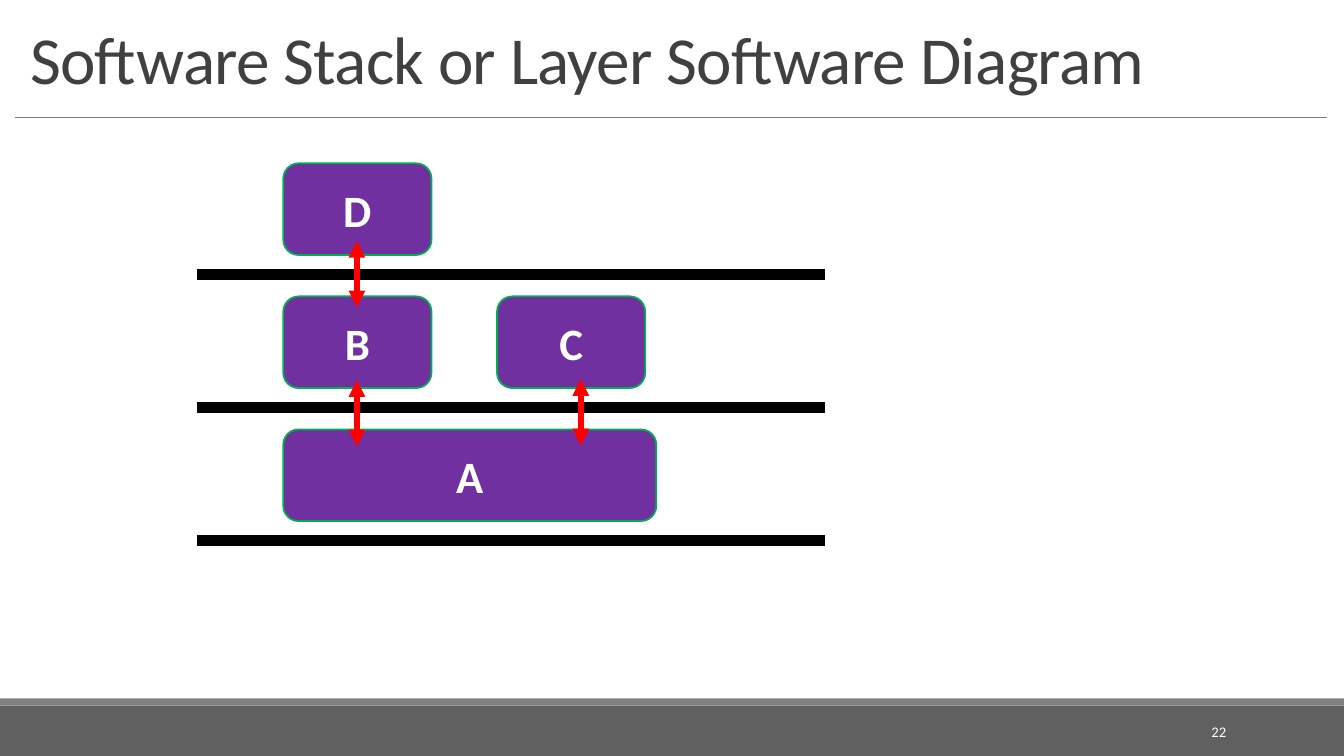
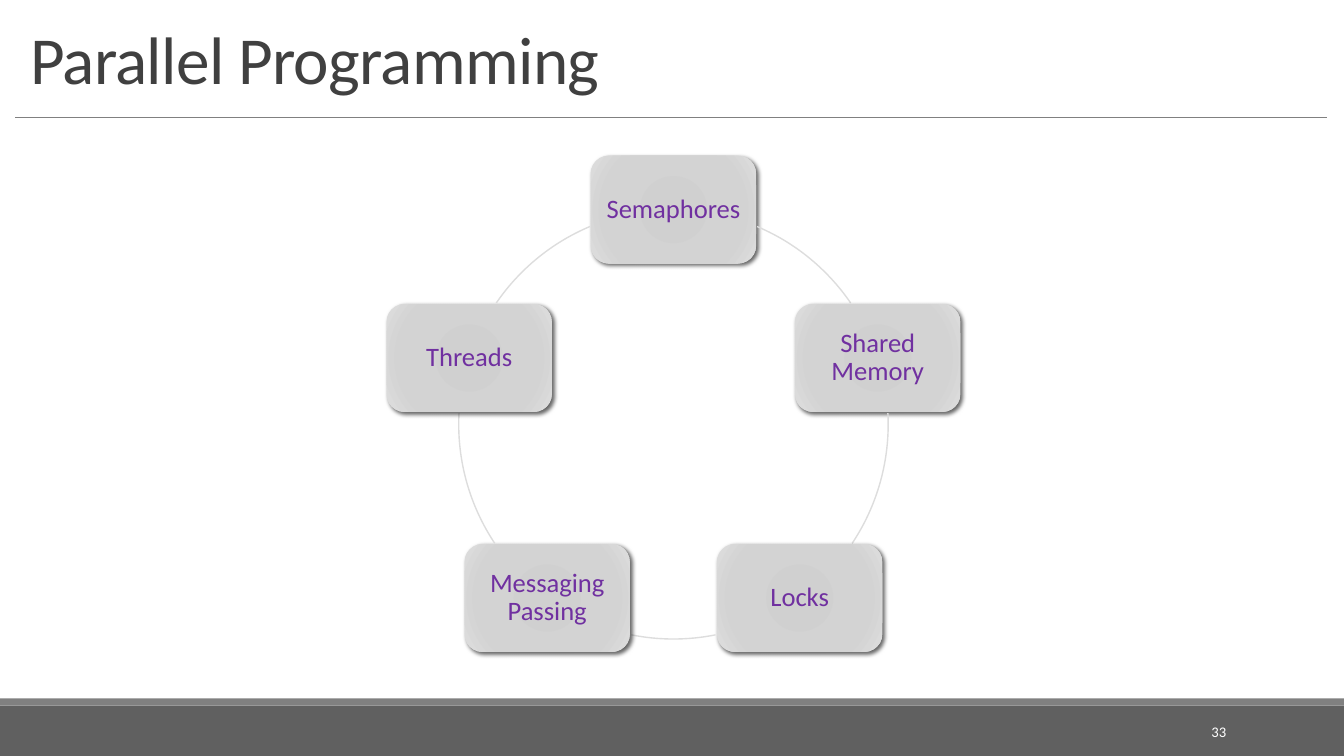
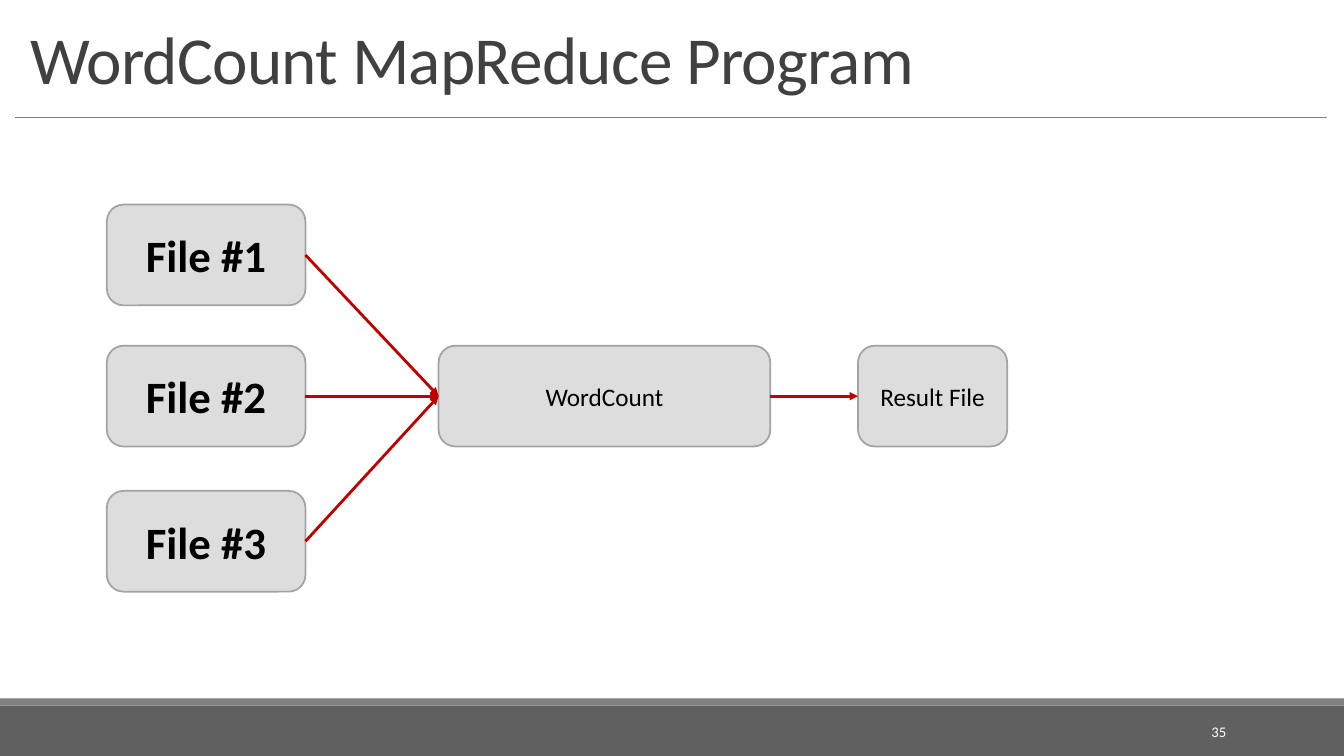
import math
from dataclasses import dataclass
from typing import Optional

from lxml import etree
from pptx import Presentation
from pptx import util as u
from pptx.dml.color import RGBColor
from pptx.enum import shapes, text
from pptx.oxml.ns import qn

COLORS = {
    "title": "404040", "footer": "606060", "rule": "808080", "white": "FFFFFF",
    "black": "000000", "purple": "7030A0", "green": "00B050", "red": "FF0000",
    "dark_red": "C00000", "silver": "DDDDDD", "edge": "A3A3A3",
}
NODE_GRADIENT = {0: "CECECE", 34: "D0D0D0", 70: "D3D3D3", 100: "DDDDDD"}
FONT = "Calibri"
SLIDE_WIDTH, SLIDE_HEIGHT = 13.33, 7.5


@dataclass(frozen=True)
class Box:
    left: float
    top: float
    width: float
    height: float


@dataclass(frozen=True)
class TextStyle:
    size: float
    color: str
    bold: bool = False
    align: text.PP_ALIGN = text.PP_ALIGN.CENTER
    anchor: text.MSO_ANCHOR = text.MSO_ANCHOR.MIDDLE
    line_spacing: Optional[float] = None
    inset: Optional[float] = None
    tracking: int = 0


@dataclass(frozen=True)
class Look:
    fill: Optional[str] = None
    line: Optional[str] = None
    width: float = 1.25


@dataclass(frozen=True)
class Stroke:
    color: str
    width: float
    head: bool = False
    tail: bool = False


TITLE = TextStyle(48, "title", align=text.PP_ALIGN.LEFT,
                  anchor=text.MSO_ANCHOR.BOTTOM, line_spacing=0.85, tracking=-50)
PAGE_NUMBER = TextStyle(10.5, "white", align=text.PP_ALIGN.RIGHT)
LAYER_TEXT = TextStyle(32, "white", bold=True)
NODE_TEXT = TextStyle(19, "purple", line_spacing=0.9, inset=0.08)
FILE_TEXT = TextStyle(32, "black", bold=True)
STEP_TEXT = TextStyle(18, "black")
LAYER_LOOK = Look("purple", "green")
FLOW_LOOK = Look("silver", "edge")


def rgb(name: str) -> RGBColor:
    return RGBColor.from_string(COLORS[name])


def apply(target, values: dict) -> None:
    for name, value in values.items():
        if value is not None:
            setattr(target, name, value)


def write(shape, words: str, style: TextStyle) -> None:
    frame = shape.text_frame
    inset = None if style.inset is None else u.Inches(style.inset)
    margins = {f"margin_{side}": inset for side in ("left", "top", "right", "bottom")}
    apply(frame, {"word_wrap": True, "vertical_anchor": style.anchor, **margins})
    para = frame.paragraphs[0]
    apply(para, {"alignment": style.align, "line_spacing": style.line_spacing})
    span = para.add_run()
    span.text = words
    apply(span.font, {"name": FONT, "size": u.Pt(style.size), "bold": style.bold})
    span.font.color.rgb = rgb(style.color)
    if style.tracking:
        span.font._element.set("spc", str(style.tracking))


def place(box: Box) -> tuple:
    return tuple(u.Inches(v) for v in (box.left, box.top, box.width, box.height))


def add_label(page, box: Box, words: str, style: TextStyle) -> None:
    write(page.shapes.add_textbox(*place(box)), words, style)


def add_figure(page, kind, box: Box, look: Look, words: str = "",
               style: Optional[TextStyle] = None):
    shape = page.shapes.add_shape(kind, *place(box))
    shape.shadow.inherit = False
    if look.fill:
        shape.fill.solid()
        shape.fill.fore_color.rgb = rgb(look.fill)
    else:
        shape.fill.background()
    if look.line:
        shape.line.color.rgb = rgb(look.line)
        shape.line.width = u.Pt(look.width)
    else:
        shape.line.fill.background()
    if style:
        write(shape, words, style)
    return shape


def add_line(page, start: tuple, end: tuple, stroke: Stroke):
    line = page.shapes.add_connector(
        shapes.MSO_CONNECTOR.STRAIGHT, *(u.Inches(v) for v in (*start, *end)))
    line.line.color.rgb = rgb(stroke.color)
    line.line.width = u.Pt(stroke.width)
    properties = line.element.spPr
    outline = properties.find(qn("a:ln"))
    for tag, wanted in (("a:headEnd", stroke.head), ("a:tailEnd", stroke.tail)):
        if wanted:
            etree.SubElement(outline, qn(tag), type="triangle")
    etree.SubElement(properties, qn("a:effectLst"))
    return line


def join(page, source, target, stroke: Stroke) -> None:
    line = add_line(page, (0, 0), (1, 1), stroke)
    line.begin_connect(source, 3)
    line.end_connect(target, 1)


def add_page(deck, title: str, number: int):
    page = deck.slides.add_slide(deck.slide_layouts[6])
    for top, height, color in ((7, 0.5, "footer"), (6.93, 0.07, "rule")):
        add_figure(page, shapes.MSO_SHAPE.RECTANGLE,
                   Box(0, top, SLIDE_WIDTH, height), Look(color))
    add_line(page, (0.15, 1.16), (13.16, 1.16), Stroke("rule", 0.5))
    add_label(page, Box(0.2, 0.15, 12.93, 0.87), title, TITLE)
    add_label(page, Box(10.83, 7.06, 1.43, 0.4), str(number), PAGE_NUMBER)
    return page


def add_stack_page(deck) -> None:
    page = add_page(deck, "Software Stack or Layer Software Diagram", 22)
    top, step = 1.62, 1.32
    for row in range(3):
        y = top + row * step + 1.1
        add_line(page, (1.95, y), (8.18, y), Stroke("black", 8))
    layers = (("D", 0, 2.81, 1.47), ("B", 1, 2.81, 1.47),
              ("C", 1, 4.93, 1.47), ("A", 2, 2.81, 3.7))
    for name, row, left, width in layers:
        add_figure(page, shapes.MSO_SHAPE.ROUNDED_RECTANGLE,
                   Box(left, top + row * step, width, 0.91),
                   LAYER_LOOK, name, LAYER_TEXT)
    for x, y in ((3.54, 2.39), (3.54, 3.77), (5.76, 3.76)):
        add_line(page, (x, y), (x, y + 0.66), Stroke("red", 4, head=True, tail=True))


def shade_node(node) -> None:
    properties = node.element.spPr
    gradient = etree.Element(qn("a:gradFill"), rotWithShape="1")
    stops = etree.SubElement(gradient, qn("a:gsLst"))
    for position, color in NODE_GRADIENT.items():
        stop = etree.SubElement(stops, qn("a:gs"), pos=str(position * 1000))
        etree.SubElement(stop, qn("a:srgbClr"), val=color)
    sweep = etree.SubElement(gradient, qn("a:path"), {"path": "circle"})
    etree.SubElement(sweep, qn("a:fillToRect"), {side: "100000" for side in "ltrb"})
    properties.replace(properties.find(qn("a:noFill")), gradient)
    shadow = etree.SubElement(
        properties.find(qn("a:effectLst")), qn("a:outerShdw"),
        blurRad=str(u.Pt(3)), dist=str(u.Pt(2)), dir=str(45 * 60000),
        algn="ctr", rotWithShape="0")
    tint = etree.SubElement(shadow, qn("a:srgbClr"), val=COLORS["black"])
    etree.SubElement(tint, qn("a:alpha"), val="60000")


def add_cycle_page(deck) -> None:
    page = add_page(deck, "Parallel Programming", 33)
    center_x, center_y, radius = 6.68, 4.21, 2.13
    width, height = 1.64, 1.07
    ring = Box(center_x - radius, center_y - radius, 2 * radius, 2 * radius)
    topics = (("Semaphores", 292.9, 325.6), ("Shared Memory", 357, 33.7),
              ("Locks", 78.7, 101.3), ("Messaging Passing", 146.3, 183),
              ("Threads", 214.4, 247.1))
    for index, (name, arc_start, arc_end) in enumerate(topics):
        angle = math.radians(index * 360 / len(topics) - 90)
        box = Box(center_x + radius * math.cos(angle) - width / 2,
                  center_y + radius * math.sin(angle) - height / 2, width, height)
        node = add_figure(page, shapes.MSO_SHAPE.ROUNDED_RECTANGLE, box, Look(),
                          name, NODE_TEXT)
        shade_node(node)
        arc = add_figure(page, shapes.MSO_SHAPE.ARC, ring, Look(line="silver", width=1))
        for position, degrees in enumerate((arc_start, arc_end)):
            arc.adjustments[position] = degrees * 0.6


def add_flow_page(deck) -> None:
    page = add_page(deck, "WordCount MapReduce Program", 35)

    def add_step(name: str, left: float, top: float, width: float, style: TextStyle):
        return add_figure(page, shapes.MSO_SHAPE.ROUNDED_RECTANGLE,
                          Box(left, top, width, 1), FLOW_LOOK, name, style)

    files = [add_step(f"File #{number}", 1.06, top, 1.97, FILE_TEXT)
             for number, top in enumerate((2.03, 3.43, 4.87), 1)]
    counter = add_step("WordCount", 4.35, 3.43, 3.29, STEP_TEXT)
    result = add_step("Result File", 8.51, 3.43, 1.48, STEP_TEXT)
    links = [(file, counter) for file in files] + [(counter, result)]
    for source, target in links:
        join(page, source, target, Stroke("dark_red", 2, tail=True))


def main() -> None:
    deck = Presentation()
    deck.slide_width = u.Inches(SLIDE_WIDTH)
    deck.slide_height = u.Inches(SLIDE_HEIGHT)
    add_stack_page(deck)
    add_cycle_page(deck)
    add_flow_page(deck)
    deck.save("out.pptx")


if __name__ == "__main__":
    main()
